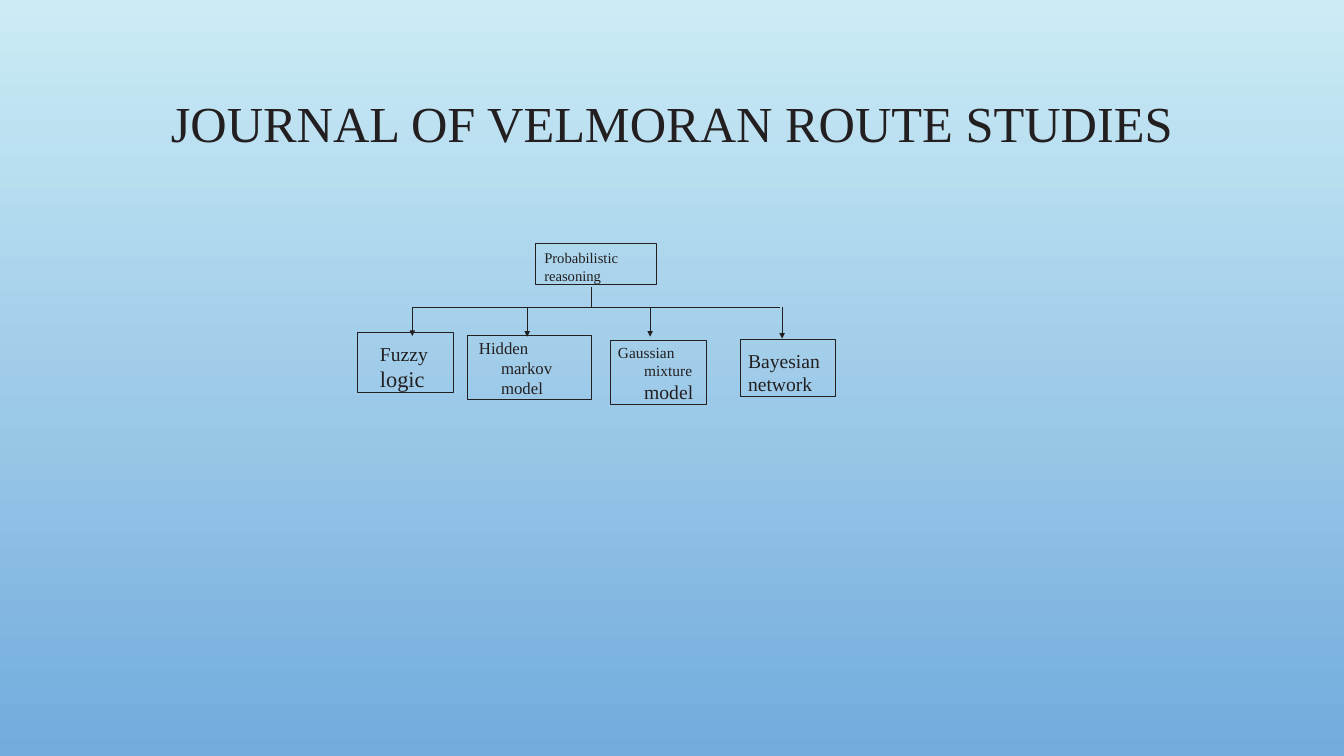
"""Build the slide showing the branches of probabilistic reasoning."""
from lxml.etree import SubElement
from pptx import Presentation
from pptx.dml.color import RGBColor
from pptx.enum.shapes import MSO_CONNECTOR as Connector, MSO_SHAPE as Shape
from pptx.enum.text import MSO_ANCHOR as Anchor, PP_ALIGN as Align
from pptx.oxml.ns import qn
from pptx.util import Pt

INK = RGBColor(0x23, 0x1F, 0x20)
SKY_TOP = RGBColor(0xCB, 0xEC, 0xF5)
SKY_BOTTOM = RGBColor(0x73, 0xAB, 0xDD)
FONT = "Times New Roman"

TITLE = "JOURNAL OF VELMORAN ROUTE STUDIES"
ROOT = dict(runs=[("Probabilistic reasoning", 10.5)], at=(382.3, 174.2, 86.4, 28.8),
            inset=3.6, before=3.5, margin=6.5, indent=0)
BRANCHES = [
    dict(runs=[("Fuzzy ", 14), ("logic", 16)], at=(255.6, 237.6, 68.4, 42.5),
         inset=6.5, before=6.2, margin=15.8, indent=0, arrow=(294.5, 240)),
    dict(runs=[("Hidden markov model", 12)], at=(334.1, 239.8, 88.6, 45.4),
         inset=1.4, before=1.8, margin=23.8, indent=-15.8, arrow=(376.6, 240.5)),
    dict(runs=[("Gaussian mixture ", 11), ("model", 14)], at=(436.3, 243.4, 68.4, 45.4),
         inset=1.4, before=1.6, margin=23.8, indent=-18.7, arrow=(464.4, 240.5)),
    dict(runs=[("Bayesian network", 14)], at=(528.5, 242.6, 68.4, 40.3),
         inset=6.5, before=6.3, margin=5.8, indent=0, arrow=(558.7, 241.9)),
]
STEM_X, STEM_TOP, BUS_Y = 422.6, 205.2, 219.6
BUS_LEFT, BUS_RIGHT = 294.5, 557.3
RIGHT_INSET = 8


def add_box(node):
    box = slide.shapes.add_shape(Shape.RECTANGLE, *map(Pt, node["at"]))
    box.shadow.inherit = False
    box.fill.background()
    box.line.color.rgb = INK
    box.line.width = Pt(0.5)
    frame = box.text_frame
    frame.word_wrap = True
    frame.vertical_anchor = Anchor.TOP
    frame.margin_left = frame.margin_bottom = 0
    frame.margin_right = Pt(RIGHT_INSET)
    frame.margin_top = Pt(node["inset"])
    label = frame.paragraphs[0]
    label.alignment = Align.LEFT
    label.space_before = Pt(node["before"])
    label.font.name = FONT
    label.font.color.rgb = INK
    properties = label._p.get_or_add_pPr()
    properties.set("marL", str(Pt(node["margin"])))
    properties.set("indent", str(Pt(node["indent"])))
    for words, size in node["runs"]:
        run = label.add_run()
        run.text = words
        run.font.size = Pt(size)
        run.font.color.rgb = INK


def add_line(x1, y1, x2, y2, arrow=False):
    line = slide.shapes.add_connector(Connector.STRAIGHT, *map(Pt, (x1, y1, x2, y2)))
    line.line.color.rgb = INK
    line.line.width = Pt(0.5)
    if arrow:
        SubElement(line.line._get_or_add_ln(), qn("a:tailEnd"), type="triangle", w="sm", len="sm")
    SubElement(line._element.spPr, qn("a:effectLst"))


deck = Presentation()
deck.slide_width, deck.slide_height = Pt(960), Pt(540)
slide = deck.slides.add_slide(deck.slide_layouts[5])

sky = slide.background.fill
sky.gradient()
sky.gradient_angle = 270
for stop, color in zip(sky.gradient_stops, (SKY_TOP, SKY_BOTTOM)):
    stop.color.rgb = color

title = slide.shapes.title
title.left, title.top, title.width, title.height = map(Pt, (72, 49, 816, 126))
title.text_frame.text = TITLE
title.text_frame.word_wrap = True
title.text_frame.vertical_anchor = Anchor.MIDDLE
title.text_frame.margin_bottom = Pt(48)
heading = title.text_frame.paragraphs[0]
heading.alignment = Align.CENTER
heading.line_spacing = 0.9
heading.font.name = FONT
heading.font.size = Pt(36)
heading.font.color.rgb = INK

add_line(STEM_X, STEM_TOP, STEM_X, BUS_Y)
add_line(BUS_LEFT, BUS_Y, BUS_RIGHT, BUS_Y)
add_box(ROOT)
for branch in BRANCHES:
    add_box(branch)
    x, tip = branch["arrow"]
    add_line(x, BUS_Y, x, tip, arrow=True)

deck.save("out.pptx")
